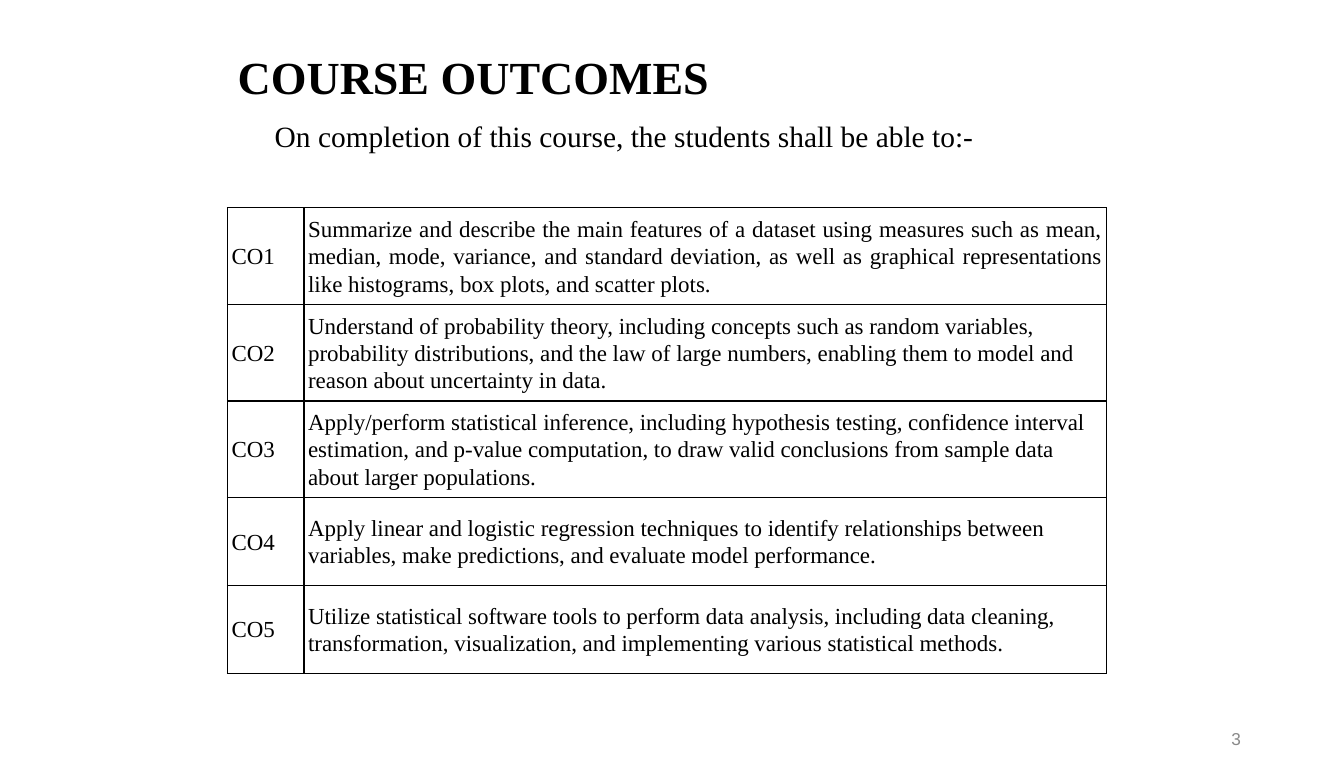
from lxml import etree
from pptx import Presentation
from pptx.dml.color import RGBColor
from pptx.enum.text import MSO_ANCHOR, PP_ALIGN
from pptx.oxml.ns import qn
from pptx.util import Cm, Pt

LEFT, RIGHT, JUST = PP_ALIGN.LEFT, PP_ALIGN.RIGHT, PP_ALIGN.JUSTIFY
TOP, MID, LOW = MSO_ANCHOR.TOP, MSO_ANCHOR.MIDDLE, MSO_ANCHOR.BOTTOM

# Content
TITLE = "COURSE OUTCOMES"
INTRO = "On completion of this course, the students shall be able to:-"
PAGE = "3"
GOALS = [
    "Summarize and describe the main features of a dataset using measures such as mean, "
    "median, mode, variance, and standard deviation, as well as graphical representations "
    "like histograms, box plots, and scatter plots.",
    "Understand of probability theory, including concepts such as random variables, "
    "probability distributions, and the law of large numbers, enabling them to model and "
    "reason about uncertainty in data.",
    "Apply/perform statistical inference, including hypothesis testing, confidence interval "
    "estimation, and p-value computation, to draw valid conclusions from sample data "
    "about larger populations.",
    "Apply linear and logistic regression techniques to identify relationships between "
    "variables, make predictions, and evaluate model performance.",
    "Utilize statistical software tools to perform data analysis, including data cleaning, "
    "transformation, visualization, and implementing various statistical methods.",
]

# Style, lengths in cm
COLORS = {"ink": "000000", "gray": "898989"}
SERIF, SANS = "Times New Roman", "Arial"
COLS = [1.88, 19.71]
ROWS = [2.31, 2.31, 2.31, 2.16, 2.16]
EDGE = 5.59
PAD = 0.1


def write(para, text, size, face=SERIF, color="ink", bold=False, align=LEFT, lead=1.0):
    para.alignment = align
    para.line_spacing = lead
    run = para.add_run()
    run.text = text
    font = run.font
    font.size, font.name, font.bold = Pt(size), face, bold
    font.color.rgb = RGBColor.from_string(COLORS[color])


def add_text(box, text, size, anchor=TOP, wrap=True, **style):
    frame = slide.shapes.add_textbox(*map(Cm, box)).text_frame
    frame.word_wrap = wrap
    frame.vertical_anchor = anchor
    write(frame.paragraphs[0], text, size, **style)


def add_lines(cell):
    props = cell._tc.get_or_add_tcPr()
    for spot, side in enumerate(("lnL", "lnR", "lnT", "lnB")):
        line = etree.Element(qn(f"a:{side}"), w=str(Pt(1)))
        fill = etree.SubElement(line, qn("a:solidFill"))
        etree.SubElement(fill, qn("a:srgbClr"), val=COLORS["ink"])
        props.insert(spot, line)


def fill_cell(cell, text, align=LEFT, after=0):
    cell.fill.background()
    cell.vertical_anchor = MID
    cell.margin_left = cell.margin_right = Cm(PAD)
    cell.margin_top = cell.margin_bottom = Cm(PAD)
    para = cell.text_frame.paragraphs[0]
    write(para, text, 16, align=align, lead=1.07)
    para.space_after = Pt(after)
    add_lines(cell)


deck = Presentation()
deck.slide_width, deck.slide_height = Cm(33.02), Cm(19.05)
slide = deck.slides.add_slide(deck.slide_layouts[6])

# Heading, intro and page number
add_text((EDGE, 1.19, 15.62, 1.5), TITLE, 32, anchor=LOW, bold=True, lead=0.9)
add_text((6.5, 2.79, 17.86, 1.12), INTRO, 20.5, wrap=False)
add_text((23.32, 17.65, 7.42, 1.02), PAGE, 12, anchor=MID,
         face=SANS, color="gray", align=RIGHT)

# Outcome table
grid = slide.shapes.add_table(len(ROWS), len(COLS), Cm(EDGE), Cm(5.11),
                              Cm(sum(COLS)), Cm(sum(ROWS))).table
grid.first_row = grid.horz_banding = False
for col, width in zip(grid.columns, COLS):
    col.width = Cm(width)
for row, (high, goal) in enumerate(zip(ROWS, GOALS)):
    grid.rows[row].height = Cm(high)
    fill_cell(grid.cell(row, 0), f"CO{row + 1}")
    first = row == 0
    fill_cell(grid.cell(row, 1), goal, JUST if first else LEFT, 0 if first else 8)

deck.save("out.pptx")
